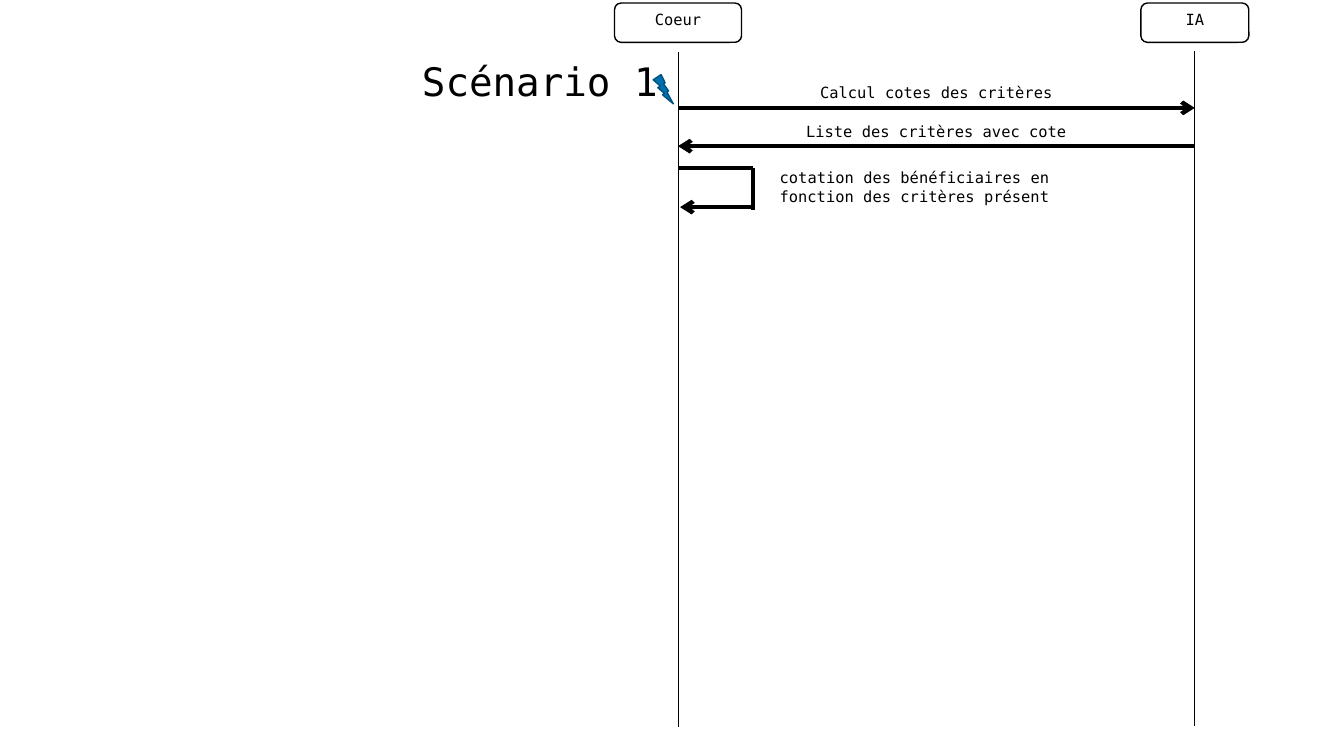
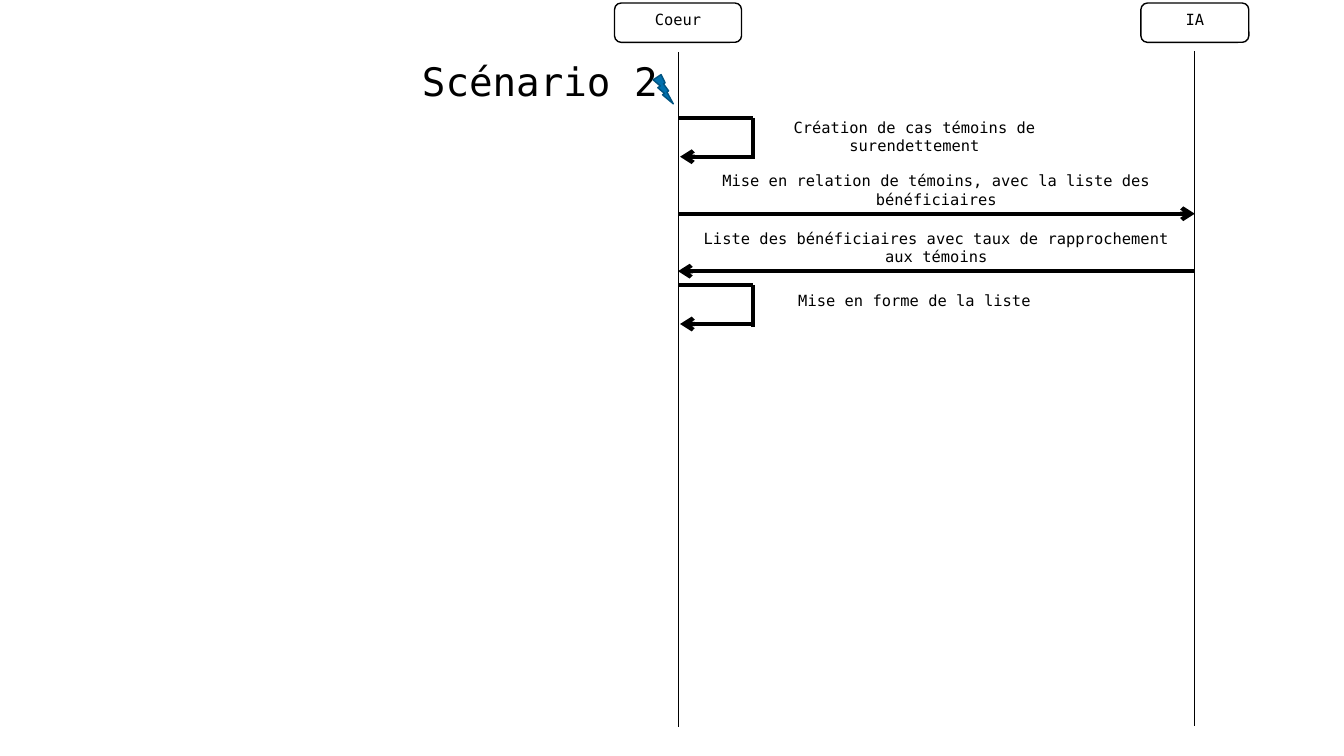
from lxml import etree
from pptx import Presentation
from pptx.dml.color import RGBColor
from pptx.enum.shapes import MSO_CONNECTOR, MSO_SHAPE
from pptx.enum.text import MSO_ANCHOR, PP_ALIGN
from pptx.oxml.ns import qn
from pptx.util import Inches, Pt

STRAIGHT = MSO_CONNECTOR.STRAIGHT
ROUND, BOLT = MSO_SHAPE.ROUNDED_RECTANGLE, MSO_SHAPE.LIGHTNING_BOLT
CENTER, TOP = PP_ALIGN.CENTER, MSO_ANCHOR.TOP

FONT = "DejaVu Sans Mono"
HEX = {"ink": "000000", "bolt": "0070AD", "edge": "005380"}
INK, FILL, EDGE = (RGBColor.from_string(HEX[k]) for k in ("ink", "bolt", "edge"))

prs = Presentation()
prs.slide_width, prs.slide_height = Inches(13.33), Inches(7.5)

# Grid: 100 columns by 100 rows
COL, ROW = prs.slide_width / 100, prs.slide_height / 100
CORE, AI = 50.45, 88.9           # columns of the two lifelines
LOOP_W, LOOP_H = 5.55, 5.13      # size of a self-call
HIGH = {1: 3.87, 2: 6.27}        # label height by number of lines

# Actors: name, column, box width, first and last row of the lifeline
ACTORS = [("IA", AI, 8.03, 6.8, 96), ("Coeur", CORE, 9.45, 6.93, 96.13)]

# Steps: kind, row, number of text lines, text
SCENES = [
    ("Scénario 1", [
        ("call", 14.27, 1, "Calcul cotes des critères"),
        ("reply", 19.33, 1, "Liste des critères avec cote"),
        ("self", 22.27, 2, "cotation des bénéficiaires en fonction des critères présent"),
    ]),
    ("Scénario 2", [
        ("self", 15.6, 2, "Création de cas témoins de surendettement"),
        ("call", 28.27, 2, "Mise en relation de témoins, avec la liste des bénéficiaires"),
        ("reply", 35.87, 2, "Liste des bénéficiaires avec taux de rapprochement aux témoins"),
        ("self", 37.73, 1, "Mise en forme de la liste"),
    ]),
]


def write(shape, text, size=11):
    frame = shape.text_frame
    frame.word_wrap = True
    frame.vertical_anchor = TOP
    para = frame.paragraphs[0]
    para.text, para.alignment = text, CENTER
    para.font.name, para.font.size = FONT, Pt(size)
    para.font.color.rgb = INK


def draw(shapes, x1, y1, x2, y2, width=3, arrow=False):
    line = shapes.add_connector(STRAIGHT, int(x1 * COL), int(y1 * ROW),
                                int(x2 * COL), int(y2 * ROW))
    line.line.color.rgb, line.line.width = INK, Pt(width)
    props = line._element.spPr
    if arrow:
        etree.SubElement(props.find(qn("a:ln")), qn("a:tailEnd"), type="arrow")
    etree.SubElement(props, qn("a:effectLst"))


for title, steps in SCENES:
    shapes = prs.slides.add_slide(prs.slide_layouts[6]).shapes

    # Actors and lifelines
    for name, x, wide, first, last in ACTORS:
        box = shapes.add_shape(ROUND, int((x - wide / 2) * COL), int(0.4 * ROW),
                               int(wide * COL), int(5.2 * ROW))
        box.shadow.inherit = False
        box.fill.background()
        box.line.color.rgb, box.line.width = INK, Pt(1)
        write(box, name)
        draw(shapes, x, first, x, last, 0.5)

    # Title and trigger
    head = shapes.add_textbox(int(28.5 * COL), int(6.93 * ROW),
                              int(23.33 * COL), int(7.6 * ROW))
    write(head, title, 28)
    bolt = shapes.add_shape(BOLT, int(48.6 * COL), int(9.87 * ROW),
                            int(1.5 * COL), int(3.87 * ROW))
    bolt.shadow.inherit = False
    bolt.fill.solid()
    bolt.fill.fore_color.rgb = FILL
    bolt.line.color.rgb, bolt.line.width = EDGE, Pt(1)

    # Messages and self-calls
    for kind, y, lines, text in steps:
        high = HIGH[lines]
        if kind == "self":
            edge, end = CORE + LOOP_W, y + LOOP_H
            draw(shapes, CORE, y, edge, y)
            draw(shapes, edge, end, CORE + 0.15, end, arrow=True)
            draw(shapes, edge, y, edge, end + 0.34)
            left, top, wide = edge, y + 0.93 - 0.8 * lines, 24.1
        else:
            start, stop = (CORE, AI) if kind == "call" else (AI, CORE)
            draw(shapes, start, y, stop, y, arrow=True)
            left, top, wide = CORE, y - high, AI - CORE
        label = shapes.add_textbox(int(left * COL), int(top * ROW),
                                   int(wide * COL), int(high * ROW))
        write(label, text)

prs.save("out.pptx")
